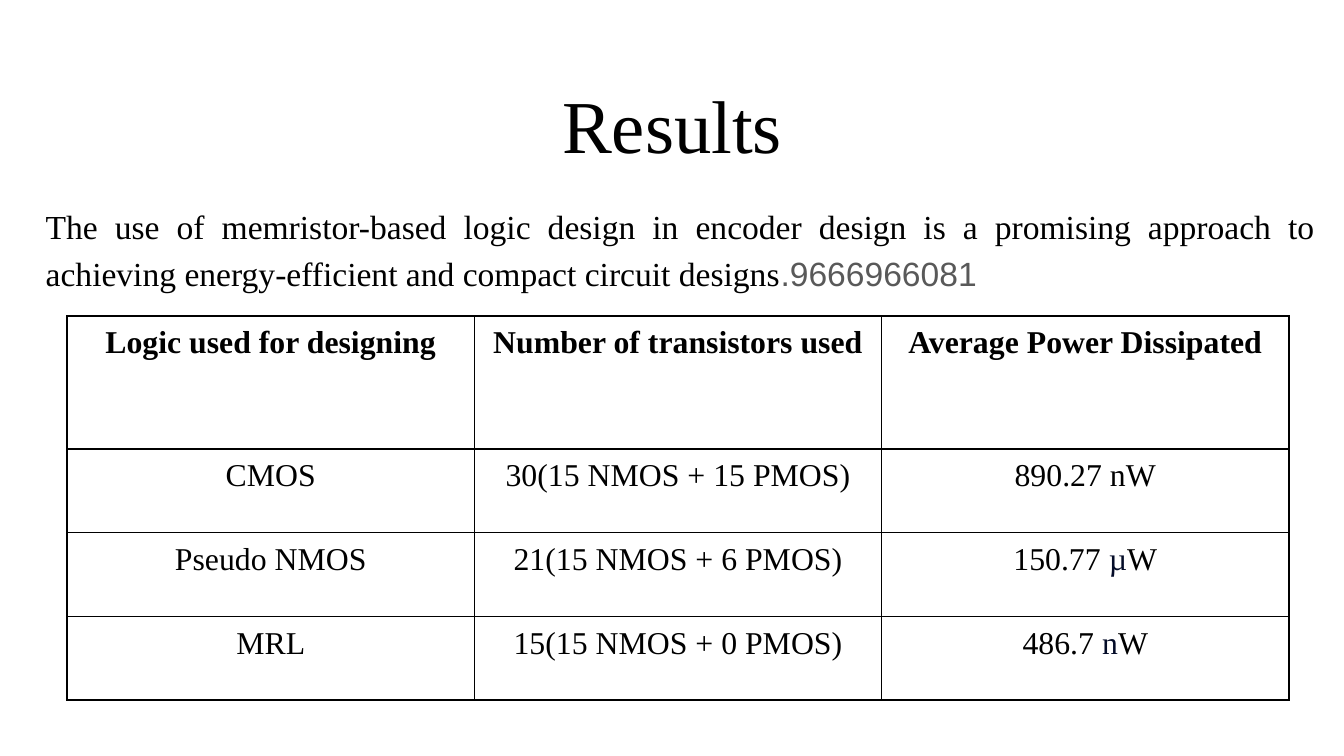
from dataclasses import dataclass

from lxml.etree import SubElement
from pptx import Presentation
from pptx.dml.color import RGBColor
from pptx.enum.text import MSO_ANCHOR, MSO_AUTO_SIZE, PP_ALIGN
from pptx.oxml.ns import qn
from pptx.util import Inches, Pt


@dataclass(frozen=True)
class Theme:
    serif: str = "Times New Roman"
    sans: str = "Arial"
    ink: str = "000000"
    gray: str = "595959"
    navy: str = "040C28"
    paper: str = "FFFFFF"
    title_size: int = 40
    body_size: int = 18
    table_size: int = 17
    border_width: int = 1


class SlideBuilder:
    def __init__(self, page, theme):
        self.page = page
        self.theme = theme

    def span(self, para, text, size, color=None, font=None, bold=False):
        span = para.add_run()
        span.text = text
        span.font.name = font or self.theme.serif
        span.font.size = Pt(size)
        span.font.bold = bold
        span.font.color.rgb = RGBColor.from_string(color or self.theme.ink)

    def place(self, box, left, top, width, height):
        """Move a placeholder and return its first paragraph."""
        box.left, box.top = Inches(left), Inches(top)
        box.width, box.height = Inches(width), Inches(height)
        frame = box.text_frame
        frame.word_wrap = True
        frame.auto_size = MSO_AUTO_SIZE.NONE
        frame.vertical_anchor = MSO_ANCHOR.TOP
        frame.margin_left = frame.margin_right = Inches(0.1)
        frame.margin_top = frame.margin_bottom = Inches(0.1)
        para = frame.paragraphs[0]
        para.space_before = Pt(0)
        return para

    def title(self, text, *area):
        para = self.place(self.page.shapes.title, *area)
        para.alignment = PP_ALIGN.CENTER
        self.span(para, text, self.theme.title_size)

    def body(self, spans, *area):
        para = self.place(self.page.placeholders[1], *area)
        para.alignment = PP_ALIGN.JUSTIFY
        para.line_spacing = 1.15
        properties = para._p.get_or_add_pPr()
        properties.set("marL", str(Inches(0.12)))
        properties.set("indent", "0")
        SubElement(properties, qn("a:buNone"))
        for text, color, font in spans:
            self.span(para, text, self.theme.body_size, color, font)

    def border(self, cell):
        properties = cell._tc.get_or_add_tcPr()
        for side in ("lnL", "lnR", "lnT", "lnB"):
            line = SubElement(properties, qn(f"a:{side}"), w=str(Pt(self.theme.border_width)))
            fill = SubElement(line, qn("a:solidFill"))
            SubElement(fill, qn("a:srgbClr"), val=self.theme.ink)

    def table(self, rows, left, top, column_width, row_heights):
        columns = len(rows[0])
        table = self.page.shapes.add_table(
            len(rows), columns, Inches(left), Inches(top),
            Inches(column_width * columns), Inches(sum(row_heights))).table
        table.horz_banding = False
        for column in table.columns:
            column.width = Inches(column_width)
        for row_index, values in enumerate(rows):
            table.rows[row_index].height = Inches(row_heights[row_index])
            for column_index, value in enumerate(values):
                self.cell(table.cell(row_index, column_index), value, row_index == 0)

    def cell(self, cell, value, bold):
        self.border(cell)
        cell.fill.solid()
        cell.fill.fore_color.rgb = RGBColor.from_string(self.theme.paper)
        cell.margin_left = cell.margin_right = Inches(0.07)
        cell.margin_top = cell.margin_bottom = Inches(0.07)
        para = cell.text_frame.paragraphs[0]
        para.alignment = PP_ALIGN.CENTER
        spans = [(value, None)] if isinstance(value, str) else value
        for text, color in spans:
            self.span(para, text, self.theme.table_size, color, bold=bold)


def main():
    theme = Theme()
    deck = Presentation()
    # Widescreen, 16 to 9
    deck.slide_width = Inches(10)
    deck.slide_height = deck.slide_width * 9 // 16
    builder = SlideBuilder(deck.slides.add_slide(deck.slide_layouts[1]), theme)

    # Heading and conclusion
    builder.title("Results", 0.34, 0.49, 9.32, 0.77)
    builder.body([
        ("The use of memristor-based logic design in encoder design is a promising "
         "approach to achieving energy-efficient and compact circuit designs",
         theme.ink, theme.serif),
        (".9666966081", theme.gray, theme.sans),
    ], 0.12, 1.39, 9.77, 3.21)

    # Comparison of logic families
    rows = [
        ("Logic used for designing", "Number of transistors used", "Average Power Dissipated"),
        ("CMOS", "30(15 NMOS + 15 PMOS)", "890.27 nW"),
        ("Pseudo NMOS", "21(15 NMOS + 6 PMOS)",
         [("150.77 ", None), ("µ", theme.navy), ("W", None)]),
        ("MRL", "15(15 NMOS + 0 PMOS)",
         [("486.7 ", None), ("n", theme.navy), ("W", None)]),
    ]
    builder.table(rows, 0.5, 2.35, 3.03, [0.99] + [1.87 / 3] * 3)

    deck.save("out.pptx")


if __name__ == "__main__":
    main()
